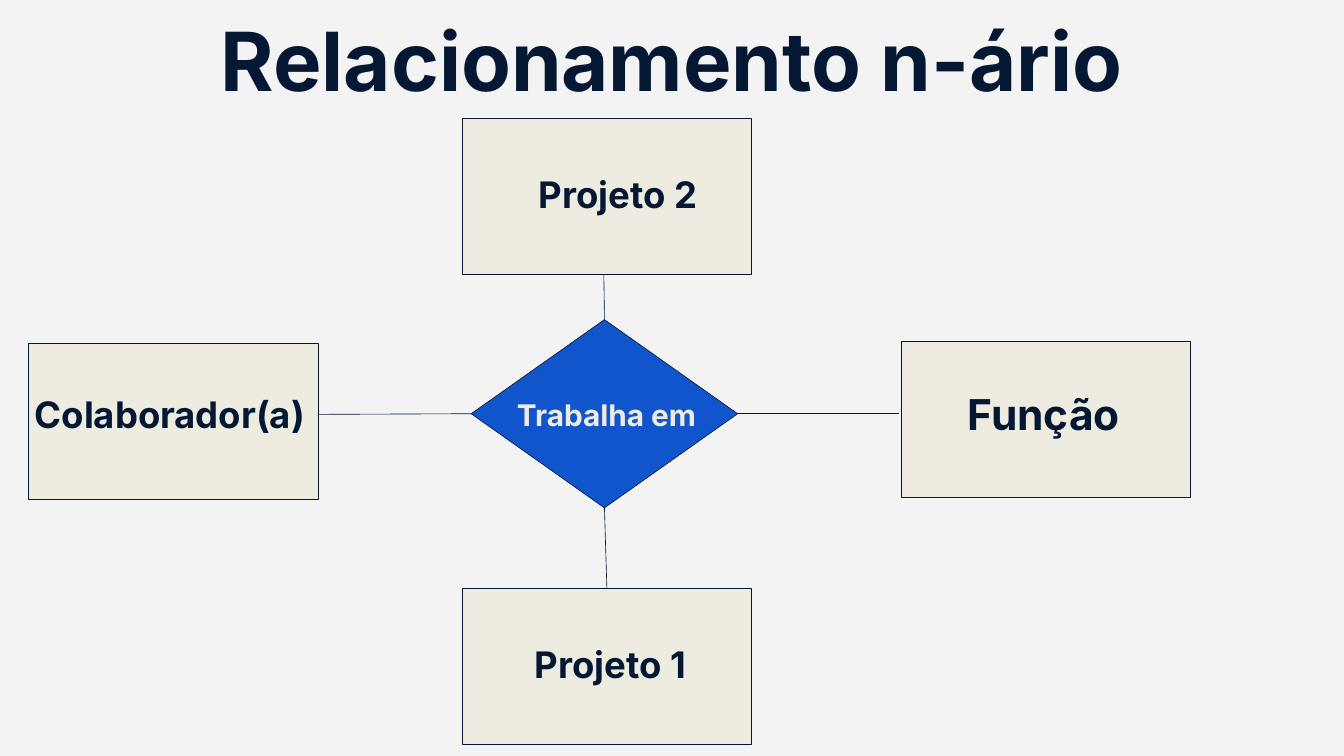
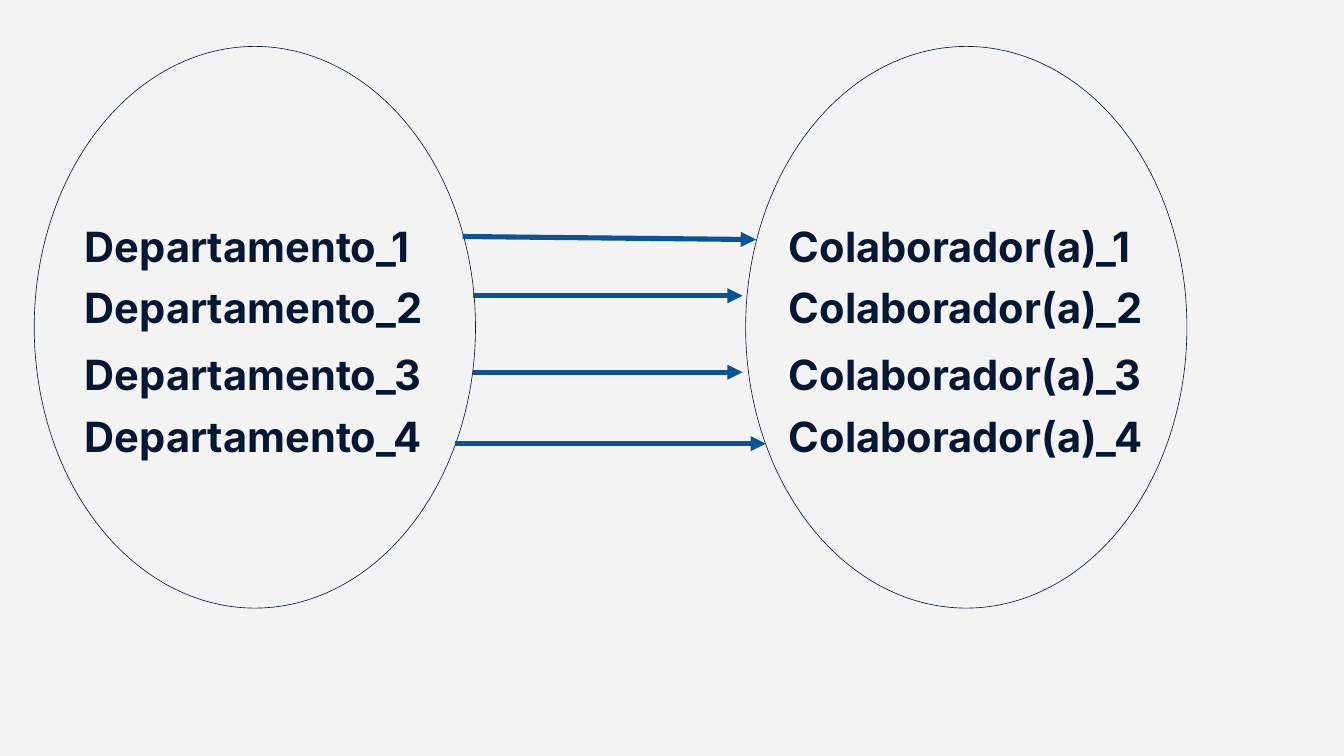
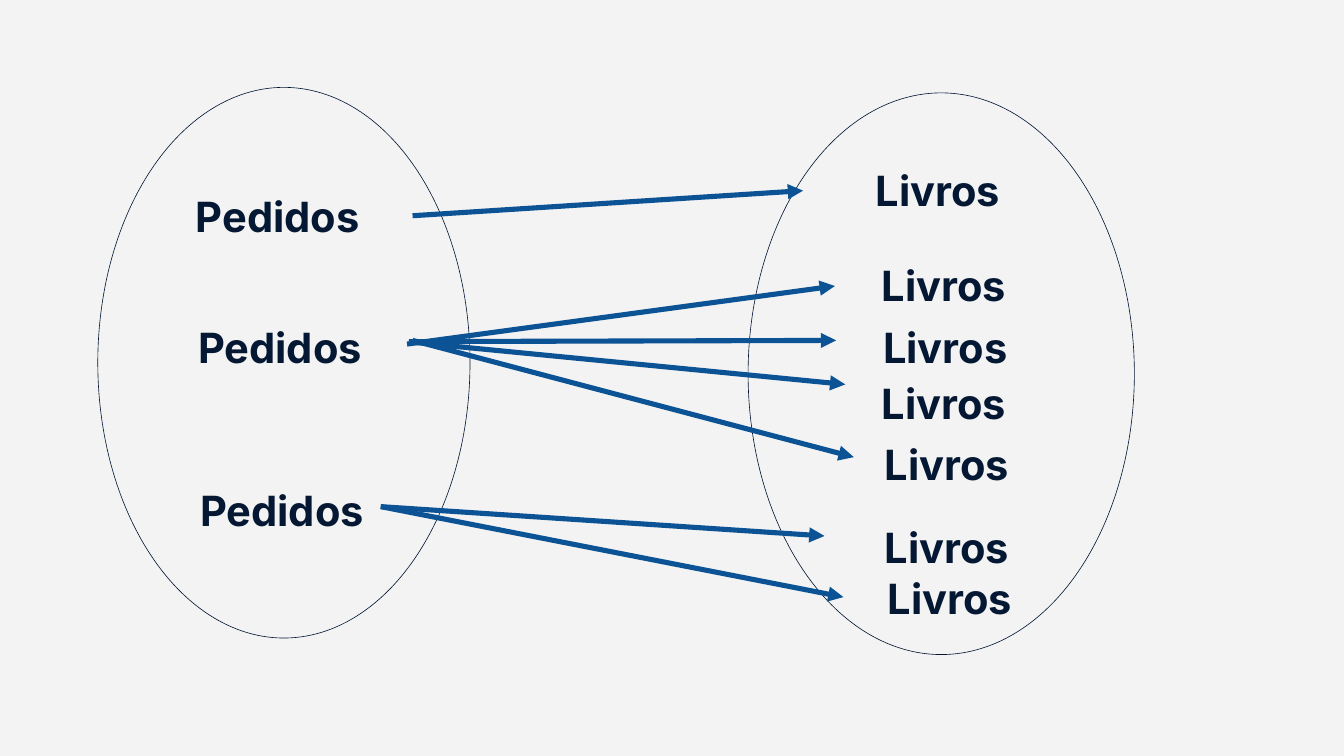
from pptx import Presentation
from pptx.dml.color import RGBColor
from pptx.enum.shapes import MSO_CONNECTOR, MSO_SHAPE
from pptx.enum.text import MSO_AUTO_SIZE, PP_ALIGN
from pptx.oxml.ns import qn
from pptx.util import Inches, Pt
from lxml.etree import SubElement


def rgb(value):
    return RGBColor.from_string(value)


class Deck:
    FONT = "Inter"
    PAPER = "F3F3F3"
    INK = "041833"
    CREAM = "EEECE1"
    BLUE = "1155CC"
    ARROW = "0B5394"
    THIN = 0.75
    THICK = 6
    TITLE_SIZE = 96
    ITEM_SIZE = 49

    def __init__(self, width, height):
        self.prs = Presentation()
        self.prs.slide_width = Inches(width)
        self.prs.slide_height = Inches(height)
        self.width = width
        self.s = None

    def new_slide(self):
        self.s = self.prs.slides.add_slide(self.prs.slide_layouts[6])
        fill = self.s.background.fill
        fill.solid()
        fill.fore_color.rgb = rgb(self.PAPER)

    def shape(self, kind, left, top, width, height, fill=None):
        sp = self.s.shapes.add_shape(
            kind, Inches(left), Inches(top), Inches(width), Inches(height))
        sp.shadow.inherit = False
        if fill:
            sp.fill.solid()
            sp.fill.fore_color.rgb = rgb(fill)
        else:
            sp.fill.background()
        sp.line.color.rgb = rgb(self.INK)
        sp.line.width = Pt(self.THIN)

    def entity(self, left, top):
        self.shape(MSO_SHAPE.RECTANGLE, left, top, 4.74, 2.55, self.CREAM)

    def ellipse(self, left, top, width, height):
        self.shape(MSO_SHAPE.OVAL, left, top, width, height)

    def text(self, text, left, top, width, height=1.03, size=ITEM_SIZE,
             color=INK, align=PP_ALIGN.LEFT):
        box = self.s.shapes.add_textbox(
            Inches(left), Inches(top), Inches(width), Inches(height))
        tf = box.text_frame
        tf.word_wrap = True
        tf.auto_size = MSO_AUTO_SIZE.SHAPE_TO_FIT_TEXT
        tf.margin_left = tf.margin_right = Inches(0.1)
        tf.margin_top = tf.margin_bottom = Inches(0.1)
        p = tf.paragraphs[0]
        p.text = text
        p.alignment = align
        p.font.name = self.FONT
        p.font.size = Pt(size)
        p.font.bold = True
        p.font.color.rgb = rgb(color)

    def title(self, text):
        self.text(text, 0, 0.07, self.width, 1.82, self.TITLE_SIZE,
                  align=PP_ALIGN.CENTER)

    def line(self, start, end, color=INK, weight=THIN):
        cn = self.s.shapes.add_connector(
            MSO_CONNECTOR.STRAIGHT, *map(Inches, start + end))
        cn.line.color.rgb = rgb(color)
        cn.line.width = Pt(weight)
        SubElement(cn.element.spPr, qn("a:effectLst"))
        return cn

    def arrow(self, start, end):
        cn = self.line(start, end, self.ARROW, self.THICK)
        SubElement(cn.line._get_or_add_ln(), qn("a:tailEnd"), type="triangle")


def nary_slide(deck):
    deck.new_slide()
    for left, top in ((0.47, 5.62), (14.74, 5.58), (7.56, 9.63), (7.56, 1.94)):
        deck.entity(left, top)
    deck.shape(MSO_SHAPE.FLOWCHART_DECISION, 7.71, 5.23, 4.36, 3.08, deck.BLUE)
    deck.text("Colaborador(a)", 0.47, 6.32, 4.74, 0.93, 43)
    deck.text("Função", 14.71, 6.25, 4.74, 1.04, 50, align=PP_ALIGN.CENTER)
    deck.text("Projeto 1", 8.65, 10.4, 4.74, 0.93, 43)
    deck.text("Projeto 2", 8.33, 2.71, 3.56, 0.93, 43, align=PP_ALIGN.CENTER)
    deck.text("Trabalha em", 8.36, 6.39, 3.36, 0.79, 35, deck.CREAM)
    for start, end in (
        ((5.21, 6.78), (7.71, 6.77)),
        ((12.07, 6.77), (14.71, 6.77)),
        ((9.89, 8.31), (9.93, 9.63)),
        ((9.88, 4.49), (9.89, 5.23)),
    ):
        deck.line(start, end)
    deck.title("Relacionamento n-ário")


def departments_slide(deck):
    deck.new_slide()
    for left in (0.56, 12.2):
        deck.ellipse(left, 0.76, 7.22, 9.19)
    rows = (
        (3.52, (7.57, 3.87), (12.37, 3.92)),
        (4.51, (7.74, 4.84), (12.15, 4.84)),
        (5.61, (7.74, 6.09), (12.15, 6.09)),
        (6.63, (7.45, 7.26), (12.53, 7.26)),
    )
    for number, (top, start, end) in enumerate(rows, 1):
        deck.text(f"Departamento_{number}", 1.29, top, 7.22)
        deck.text(f"Colaborador(a)_{number}", 12.81, top, 6.09)
        deck.arrow(start, end)


def orders_slide(deck):
    deck.new_slide()
    deck.ellipse(1.6, 1.43, 6.09, 9.01)
    deck.ellipse(12.24, 1.52, 6.32, 9.19)
    for left, top, width in ((2.34, 3.02, 4.41), (1.6, 5.16, 5.96),
                             (2, 7.84, 5.23)):
        deck.text("Pedidos", left, top, width, align=PP_ALIGN.CENTER)
    deck.text("Livros", 13.14, 2.6, 4.41, align=PP_ALIGN.CENTER)
    for left, top in ((14.33, 4.16), (14.35, 5.16), (14.33, 6.08),
                      (14.38, 7.08), (14.38, 8.44), (14.43, 9.28)):
        deck.text("Livros", left, top, 5.23)
    for start, end in (
        ((6.75, 3.53), (13.14, 3.12)),
        ((6.66, 5.63), (13.66, 4.68)),
        ((6.69, 5.59), (13.68, 5.57)),
        ((6.75, 5.6), (13.83, 6.29)),
        ((6.75, 5.57), (13.97, 7.48)),
        ((6.23, 8.29), (13.49, 8.77)),
        ((6.23, 8.29), (13.8, 9.77)),
    ):
        deck.arrow(start, end)


def main():
    deck = Deck(21.99, 12.37)
    nary_slide(deck)
    departments_slide(deck)
    orders_slide(deck)
    deck.prs.save("out.pptx")


if __name__ == "__main__":
    main()
